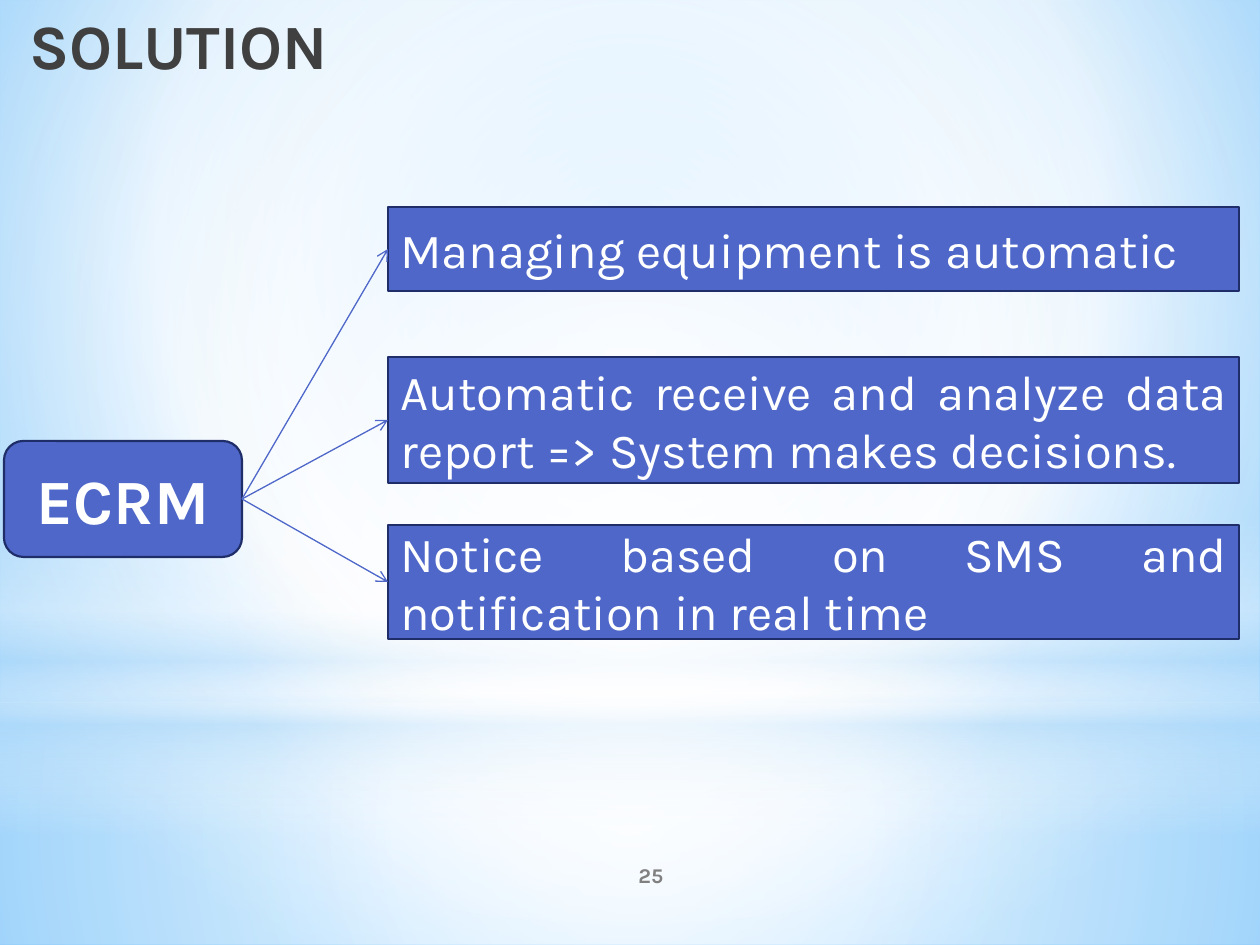
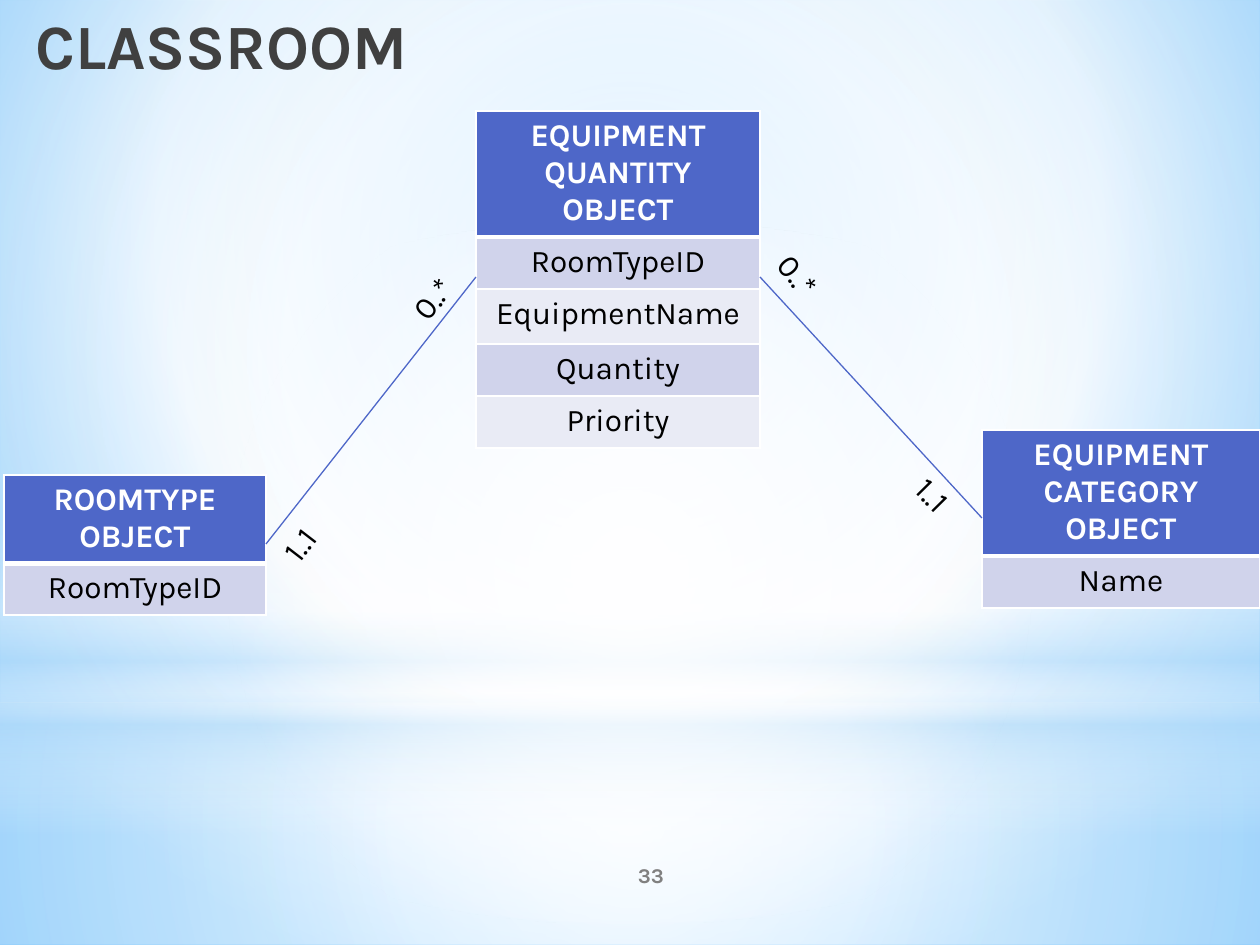
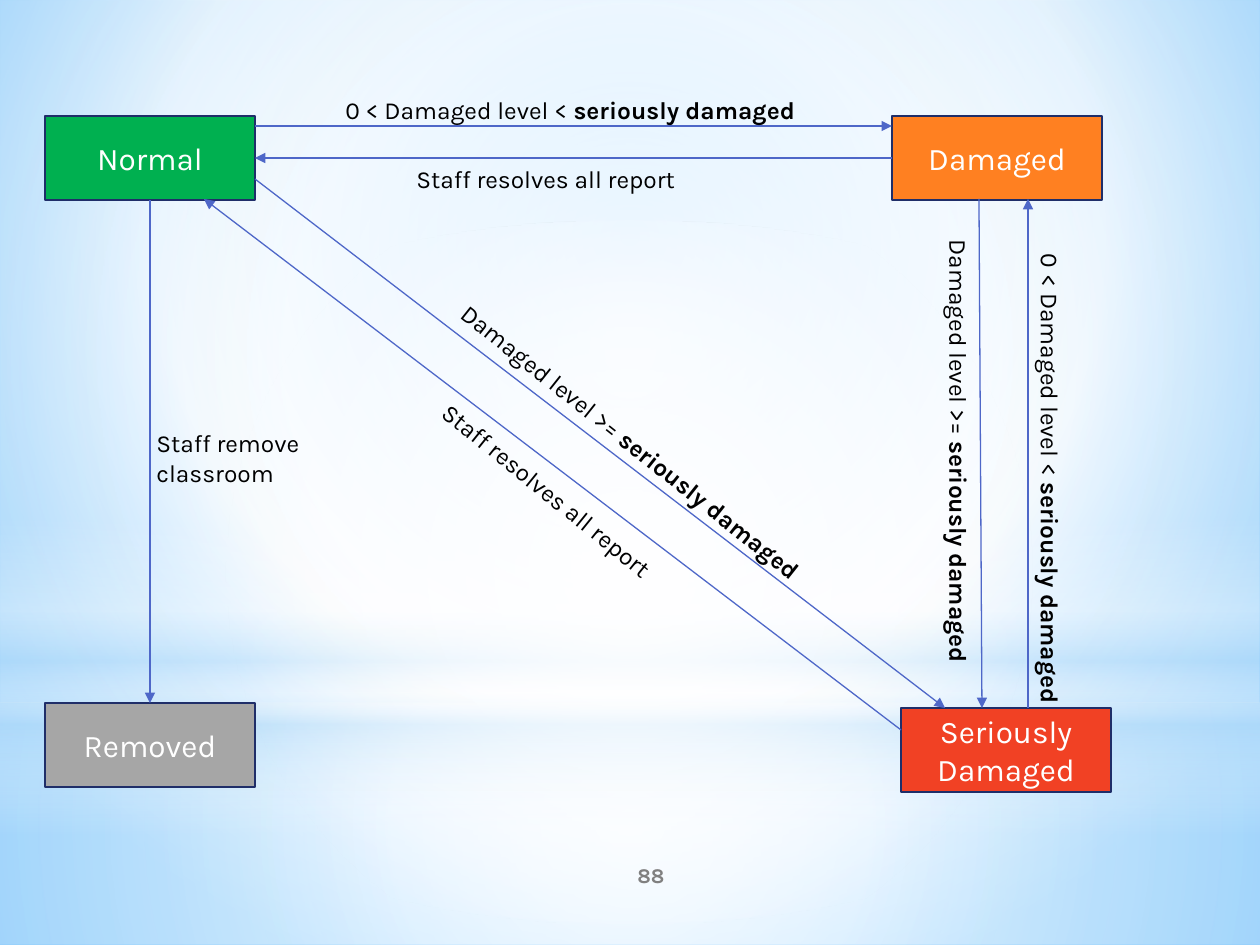
from lxml import etree
from pptx import Presentation
from pptx.dml.color import RGBColor
from pptx.enum.shapes import MSO_CONNECTOR, MSO_SHAPE
from pptx.enum.text import MSO_ANCHOR, MSO_AUTO_SIZE, PP_ALIGN
from pptx.oxml.ns import qn
from pptx.util import Emu, Pt

EMU_PER_PX = 914400 / 126
WIDTH, HEIGHT = 1260, 945
FONT = "Karla"
TOP, LEFT, BOTTOM, RIGHT = range(4)

WHITE = RGBColor(0xFF, 0xFF, 0xFF)
BLACK = RGBColor(0x00, 0x00, 0x00)
SKY = RGBColor(0xB4, 0xDC, 0xFA)
LIGHT_BLUE = RGBColor(0x9E, 0xD5, 0xFF)
BRIGHT_BLUE = RGBColor(0x5B, 0xB9, 0xFF)
BLUE = RGBColor(0x4E, 0x67, 0xC8)
NAVY = RGBColor(0x1F, 0x2E, 0x69)
TITLE_GREY = RGBColor(0x40, 0x40, 0x40)
NUMBER_GREY = RGBColor(0x80, 0x80, 0x80)
ROW_DARK = RGBColor(0xD0, 0xD3, 0xEB)
ROW_LIGHT = RGBColor(0xE9, 0xEB, 0xF5)
GREEN = RGBColor(0x00, 0xB0, 0x50)
ORANGE = RGBColor(0xFF, 0x80, 0x21)
RED = RGBColor(0xF1, 0x41, 0x24)
GREY = RGBColor(0xA6, 0xA6, 0xA6)

CENTRE = (50, 50, 50, 50)
# Shape, box, gradient stops (position, colour, opacity) and focus; no focus means top to bottom
BACKDROP = [
    (MSO_SHAPE.RECTANGLE, (0, 703, WIDTH, 242),
     [(0, WHITE, 91), (37, WHITE, 76), (100, SKY, 79)], CENTRE),
    (MSO_SHAPE.RECTANGLE, (0, 0, WIDTH, 703),
     [(0, WHITE, 89), (48, WHITE, 62), (100, SKY, 79)], CENTRE),
    (MSO_SHAPE.RECTANGLE, (0, 519, WIDTH, 315),
     [(0, WHITE, 0), (29, WHITE, 30), (45, SKY, 40),
      (55, WHITE, 26), (65, SKY, 60), (100, WHITE, 0)], None),
    (MSO_SHAPE.OVAL, (0, 221, WIDTH, 703),
     [(0, WHITE, 100), (56, WHITE, 0)], CENTRE),
]


def px(length):
    return Emu(round(length * EMU_PER_PX))


def add_xml(parent, tag, **attributes):
    return etree.SubElement(parent, qn(tag), attributes)


def paint_gradient(properties, stops, focus):
    """Replace the empty fill of a properties element by a gradient."""
    gradient = etree.Element(qn("a:gradFill"), rotWithShape="1")
    stop_list = add_xml(gradient, "a:gsLst")
    for position, color, opacity in stops:
        stop = add_xml(stop_list, "a:gs", pos=str(position * 1000))
        color_element = add_xml(stop, "a:srgbClr", val=str(color))
        add_xml(color_element, "a:alpha", val=str(opacity * 1000))
    if focus:
        circle = add_xml(gradient, "a:path", path="circle")
        sides = {side: str(value * 1000) for side, value in zip("ltrb", focus)}
        add_xml(circle, "a:fillToRect", **sides)
    else:
        add_xml(gradient, "a:lin", ang="5400000", scaled="0")
    properties.replace(properties.find(qn("a:noFill")), gradient)


class Deck:
    def __init__(self):
        self.presentation = Presentation()
        self.presentation.slide_width = px(WIDTH)
        self.presentation.slide_height = px(HEIGHT)
        self.slide = None
        master = self.presentation.slide_master
        master.background.fill.background()
        paint_gradient(
            master.element.find(".//" + qn("p:bgPr")),
            [(0, LIGHT_BLUE, 100), (60, WHITE, 100), (100, BRIGHT_BLUE, 100)],
            (20, 10, 20, 60))

    def new_slide(self, number):
        layout = self.presentation.slide_layouts[6]
        self.slide = self.presentation.slides.add_slide(layout)
        for kind, box, stops, focus in BACKDROP:
            shape = self.shape(kind, box)
            shape.fill.background()
            shape.line.fill.background()
            paint_gradient(shape.element.spPr, stops, focus)
        self.text((525, 850, 252, 50), str(number), 12, NUMBER_GREY, True,
                  PP_ALIGN.CENTER, MSO_ANCHOR.MIDDLE)

    def style(self, text_frame, size, color, bold=False, align=PP_ALIGN.LEFT):
        for paragraph in text_frame.paragraphs:
            paragraph.alignment = align
            for run in paragraph.runs:
                run.font.name = FONT
                run.font.size = Pt(size)
                run.font.bold = bold
                run.font.color.rgb = color

    def shape(self, kind, box):
        shape = self.slide.shapes.add_shape(kind, *map(px, box))
        shape.shadow.inherit = False
        return shape

    def box(self, box, text, size, fill=BLUE, align=PP_ALIGN.CENTER,
            kind=MSO_SHAPE.RECTANGLE, bold=False):
        shape = self.shape(kind, box)
        shape.fill.solid()
        shape.fill.fore_color.rgb = fill
        shape.line.color.rgb = NAVY
        shape.line.width = Pt(1.25)
        shape.text_frame.text = text
        shape.text_frame.vertical_anchor = MSO_ANCHOR.MIDDLE
        self.style(shape.text_frame, size, WHITE, bold, align)
        return shape

    def text(self, box, text, size, color=BLACK, bold=False,
             align=PP_ALIGN.LEFT, anchor=MSO_ANCHOR.TOP):
        shape = self.slide.shapes.add_textbox(*map(px, box))
        frame = shape.text_frame
        frame.word_wrap = True
        frame.vertical_anchor = anchor
        frame.text = text
        self.style(frame, size, color, bold, align)
        return shape

    def title(self, left, width, text):
        self.text((left, 0, width, 111), text, 36, TITLE_GREY, True, PP_ALIGN.RIGHT)

    def label(self, box, text, size, rotation=0, strong="", grows=True):
        """Add a turned note beside a line, with an optional bold ending."""
        shape = self.text(box, text, size)
        shape.rotation = rotation
        frame = shape.text_frame
        if strong:
            run = frame.paragraphs[0].add_run()
            run.text = strong
            self.style(frame, size, BLACK)
            run.font.bold = True
        if grows:
            frame.word_wrap = False
            frame.auto_size = MSO_AUTO_SIZE.SHAPE_TO_FIT_TEXT

    def line(self, start, end, arrow=None):
        connector = self.slide.shapes.add_connector(
            MSO_CONNECTOR.STRAIGHT, *map(px, start + end))
        connector.line.color.rgb = BLUE
        connector.line.width = Pt(0.75)
        properties = connector.element.spPr
        if arrow:
            add_xml(properties.find(qn("a:ln")), "a:tailEnd", type=arrow)
        add_xml(properties, "a:effectLst")
        return connector

    def join(self, source, source_side, target, target_side, arrow):
        connector = self.line((0, 0), (0, 0), arrow)
        connector.begin_connect(source, source_side)
        connector.end_connect(target, target_side)

    def entity(self, box, heading, fields, row_heights):
        """Add a one-column table with a heading and banded fields."""
        names = [heading] + fields
        frame = self.slide.shapes.add_table(len(names), 1, *map(px, box))
        table = frame.table
        for index, (name, height) in enumerate(zip(names, row_heights)):
            is_heading = index == 0
            table.rows[index].height = px(height)
            cell = table.cell(index, 0)
            self.borders(cell, 3 if is_heading else 1)
            cell.fill.solid()
            cell.fill.fore_color.rgb = (
                BLUE if is_heading else ROW_DARK if index % 2 else ROW_LIGHT)
            cell.text_frame.text = name
            self.style(cell.text_frame, 18, WHITE if is_heading else BLACK,
                       is_heading, PP_ALIGN.CENTER)
        frame.height = px(box[3])

    def borders(self, cell, bottom_width):
        properties = cell._tc.get_or_add_tcPr()
        for side, width in zip("LRTB", (1, 1, 1, bottom_width)):
            border = add_xml(properties, f"a:ln{side}", w=str(Pt(width)))
            add_xml(add_xml(border, "a:solidFill"), "a:srgbClr", val=str(WHITE))


def add_solution(deck):
    deck.new_slide(25)
    deck.title(4, 336, "SOLUTION")
    system = deck.box((4, 441, 238, 116), "ECRM", 36,
                      kind=MSO_SHAPE.ROUNDED_RECTANGLE, bold=True)
    benefits = [
        (207, 84, "Managing equipment is automatic"),
        (357, 126, "Automatic receive and analyze data report => System makes decisions."),
        (525, 114, "Notice based on SMS and notification in real time"),
    ]
    for top, height, text in benefits:
        benefit = deck.box((388, top, 851, height), text, 28, align=PP_ALIGN.JUSTIFY)
        deck.join(system, RIGHT, benefit, LEFT, "arrow")


def add_classroom(deck):
    deck.new_slide(33)
    deck.title(0, 420, "CLASSROOM")
    deck.entity((4, 475, 262, 140), "ROOMTYPE OBJECT", ["RoomTypeID"], [52, 52])
    deck.entity((982, 430, 278, 178), "EQUIPMENT CATEGORY OBJECT", ["Name"], [52, 52])
    deck.entity((476, 111, 284, 335), "EQUIPMENT QUANTITY OBJECT",
                ["RoomTypeID", "EquipmentName", "Quantity", "Priority"],
                [52, 52, 55, 52, 52])
    deck.line((266, 544), (476, 277))
    deck.line((760, 277), (982, 518))
    for left, top, width, rotation, multiplicity in [
        (266, 509, 82, 307.6, "1..1"),
        (397, 271, 73, 308, "0..*"),
        (764, 252, 73, 49.9, "0..*"),
        (903, 475, 73, 45.4, "1..1"),
    ]:
        deck.label((left, top, width, 50), multiplicity, 18, rotation)


def add_states(deck):
    deck.new_slide(88)
    normal, _, _, removed = [
        deck.box((left, top, 210, 84), name, 18, fill)
        for left, top, name, fill in [
            (45, 116, "Normal", GREEN),
            (892, 116, "Damaged", ORANGE),
            (901, 708, "Seriously Damaged", RED),
            (45, 703, "Removed", GREY),
        ]
    ]
    deck.join(normal, BOTTOM, removed, TOP, "triangle")
    for start, end in [
        ((255, 126), (892, 126)),
        ((892, 158), (255, 158)),
        ((255, 179), (945, 708)),
        ((901, 730), (204, 199)),
        ((979, 199), (982, 708)),
        ((1028, 708), (1028, 199)),
    ]:
        deck.line(start, end, "triangle")

    resolved = "Staff resolves all report"
    slight, serious = "0 < Damaged level < ", "Damaged level >= "
    limit = "seriously damaged"
    deck.label((144, 422, 285, 43), "Staff remove\vclassroom", 14)
    deck.label((404, 158, 287, 43), resolved, 14)
    deck.label((404, 470, 287, 43), resolved, 14, 39)
    deck.label((333, 89, 478, 43), slight, 14, strong=limit)
    deck.label((811, 459, 478, 43), slight, 14, 90, limit)
    deck.label((406, 421, 450, 43), serious, 14, 38.5, limit)
    deck.label((719, 416, 450, 72), serious, 14, 90, limit, grows=False)


def main():
    deck = Deck()
    add_solution(deck)
    add_classroom(deck)
    add_states(deck)
    deck.presentation.save("out.pptx")


if __name__ == "__main__":
    main()
